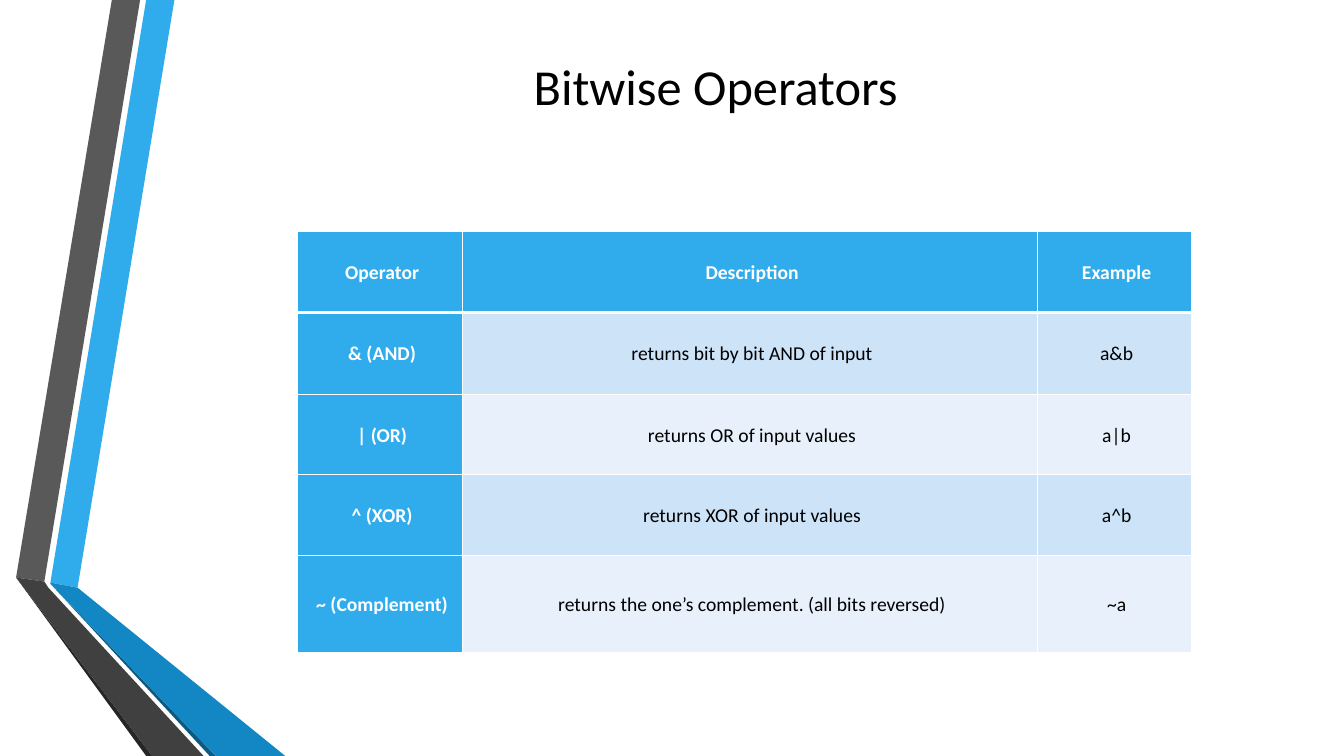
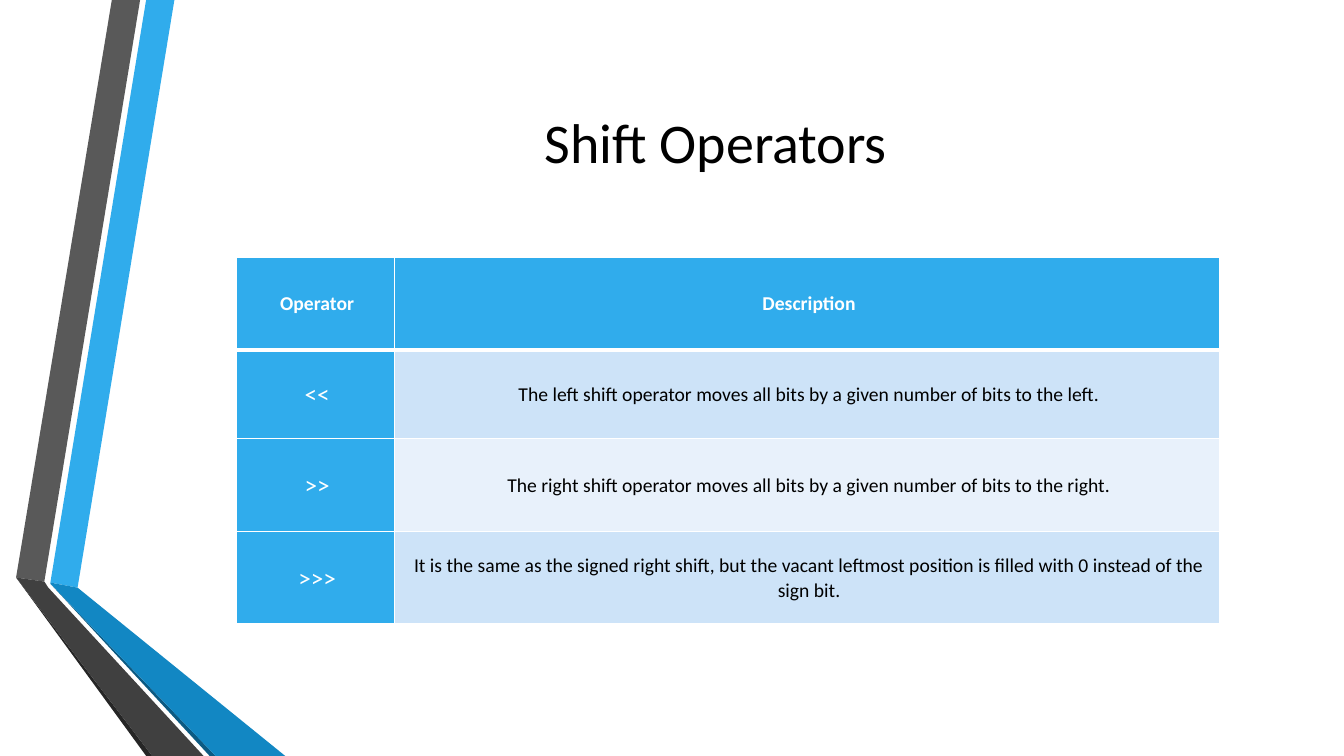
from lxml import etree
from pptx import Presentation
from pptx.dml.color import RGBColor
from pptx.enum.text import MSO_ANCHOR, PP_ALIGN
from pptx.oxml.ns import qn
from pptx.util import Pt

PX = 9144  # 100 px to the inch
CENTER, MIDDLE = PP_ALIGN.CENTER, MSO_ANCHOR.MIDDLE

FONT = "Calibri"
BLACK, WHITE, BLUE = "000000", "FFFFFF", "30ACEC"
BANDS = ["CDE3F8", "E8F1FB"]
EDGES = ["lnL", "lnR", "lnT", "lnB"]

RIBBONS = [
    (BLUE, [(50, 578), (77, 583), (173, 0), (145, 0)]),
    ("595959", [(139, 0), (111, 0), (16, 573), (44, 577)]),
    ("262626", [(16, 573), (145, 750), (151, 750)]),
    ("0C5A82", [(50, 579), (208, 750), (214, 750)]),
    ("1287C3", [(50, 578), (50, 579), (214, 750), (283, 750), (77, 583)]),
    ("404040", [(202, 750), (48, 583), (44, 577), (16, 573), (151, 750)]),
]

SLIDES = [
    {
        "title": "Bitwise Operators", "box": (162, 48, 1096, 74), "size": 36,
        "at": (295, 230), "cols": [164, 570, 153],
        "rows": [80, 81, 80, 80, 96],
        "key": (14, True),
        "cells": [
            ["Operator", "Description", "Example"],
            ["& (AND)", "returns bit by bit AND of input", "a&b"],
            ["| (OR)", "returns OR of input values", "a|b"],
            ["^ (XOR)", "returns XOR of input values", "a^b"],
            ["~ (Complement)",
             "returns the one’s complement. (all bits reversed)", "~a"],
        ],
    },
    {
        "title": "Shift Operators", "box": (162, 44, 1096, 192), "size": 40,
        "at": (234, 255), "cols": [157, 819],
        "rows": [92, 88, 92, 92],
        "key": (18, False),
        "cells": [
            ["Operator", "Description"],
            ["<<", "The left shift operator moves all bits by a given "
                   "number of bits to the left."],
            [">>", "The right shift operator moves all bits by a given "
                   "number of bits to the right."],
            [">>>", "It is the same as the signed right shift, but the vacant "
                    "leftmost position is filled with 0 instead of the "
                    "sign bit."],
        ],
    },
]


def rgb(color):
    return RGBColor.from_string(color)


def write(frame, text, size, color, bold=False):
    """Set centred text in a frame and return its paragraph."""
    frame.text = text
    para = frame.paragraphs[0]
    para.alignment = CENTER
    font = para.runs[0].font
    font.name, font.size, font.bold = FONT, Pt(size), bold
    font.color.rgb = rgb(color)
    return para


deck = Presentation()
deck.slide_width, deck.slide_height = 1333 * PX, 750 * PX

for spec_ in SLIDES:
    slide = deck.slides.add_slide(deck.slide_layouts[6])

    for color, points in RIBBONS:
        pen = slide.shapes.build_freeform(*points[0], scale=PX)
        pen.add_line_segments(points[1:], close=True)
        ribbon = pen.convert_to_shape()
        ribbon.shadow.inherit = False
        ribbon.fill.solid()
        ribbon.fill.fore_color.rgb = rgb(color)
        ribbon.line.fill.background()

    box = slide.shapes.add_textbox(*[n * PX for n in spec_["box"]])
    box.text_frame.word_wrap = True
    box.text_frame.vertical_anchor = MIDDLE
    write(box.text_frame, spec_["title"], spec_["size"], BLACK)

    cols, rows = spec_["cols"], spec_["rows"]
    left, top = spec_["at"]
    table = slide.shapes.add_table(
        len(rows), len(cols), left * PX, top * PX,
        sum(cols) * PX, sum(rows) * PX).table
    table.first_col = True
    table.horz_banding = False
    for col, width in zip(table.columns, cols):
        col.width = width * PX
    for row, height in zip(table.rows, rows):
        row.height = height * PX

    for r, texts in enumerate(spec_["cells"]):
        for c, text in enumerate(texts):
            if r == 0:
                fill, color, size, bold = BLUE, WHITE, 14, True
            elif c == 0:
                fill, color = BLUE, WHITE
                size, bold = spec_["key"]
            else:
                fill, color, size, bold = BANDS[(r - 1) % 2], BLACK, 14, False

            cell = table.cell(r, c)
            cell.vertical_anchor = MIDDLE
            cell.margin_left = 5 * PX
            cell.margin_right = cell.margin_top = cell.margin_bottom = PX
            para = write(cell.text_frame, text, size, color, bold)
            para.line_spacing, para.space_after = 1.07, Pt(8)

            # Borders precede the fill in the cell properties
            props = cell._tc.get_or_add_tcPr()
            for edge in EDGES:
                thick = (r, edge) in [(0, "lnB"), (1, "lnT")]
                line = etree.SubElement(props, qn("a:" + edge),
                                        w=str(Pt(3 if thick else 1)))
                solid = etree.SubElement(line, qn("a:solidFill"))
                etree.SubElement(solid, qn("a:srgbClr"), val=WHITE)
            cell.fill.solid()
            cell.fill.fore_color.rgb = rgb(fill)

deck.save("out.pptx")
